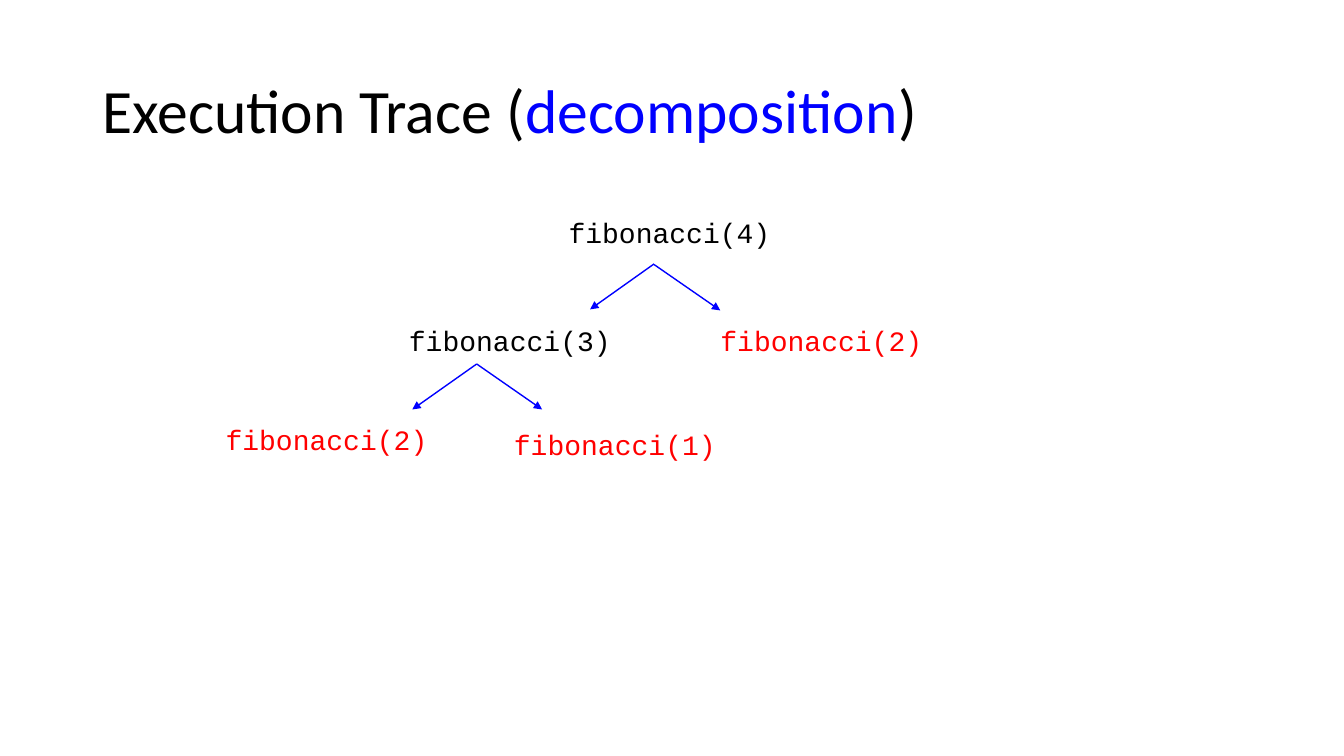
import pptx
import pptx.util
import pptx.dml.color
import pptx.enum.shapes
import pptx.enum.text
import pptx.oxml.ns
import lxml.etree
from dataclasses import dataclass

Pt = pptx.util.Pt
RGB = pptx.dml.color.RGBColor


@dataclass(frozen=True)
class Theme:
    black: RGB = RGB(0, 0, 0)
    blue: RGB = RGB(0, 0, 255)
    red: RGB = RGB(255, 0, 0)
    title_font: str = "Calibri"
    code_font: str = "Courier New"
    title_size: int = 44
    code_size: int = 20


theme = Theme()

presentation = pptx.Presentation()
presentation.slide_width = Pt(960)
presentation.slide_height = Pt(540)
slide = presentation.slides.add_slide(presentation.slide_layouts[5])

# Title with the highlighted word
title = slide.shapes.title
title.left, title.top, title.width, title.height = Pt(66), Pt(28.75), Pt(828), Pt(104.4)
title.text_frame.vertical_anchor = pptx.enum.text.MSO_ANCHOR.MIDDLE
title.text_frame.auto_size = pptx.enum.text.MSO_AUTO_SIZE.NONE
paragraph = title.text_frame.paragraphs[0]
paragraph.alignment = pptx.enum.text.PP_ALIGN.LEFT
paragraph.line_spacing = 0.9
paragraph.font.name = theme.title_font
paragraph.font.size = Pt(theme.title_size)
for text, color in [("Execution Trace (", theme.black),
                    ("decomposition", theme.blue),
                    (")", theme.black)]:
    run = paragraph.add_run()
    run.text = text
    run.font.color.rgb = color

# Calls: argument, left, top, colour (red marks base cases)
calls = [
    (4, 399, 150.5, theme.black),
    (3, 285, 227.5, theme.black),
    (2, 507.5, 227.5, theme.red),
    (1, 360, 302, theme.red),
    (2, 154, 298.5, theme.red),
]
for argument, left, top, color in calls:
    call = slide.shapes.add_textbox(Pt(left), Pt(top), Pt(159), Pt(31))
    call.text_frame.word_wrap = False
    call.text_frame.auto_size = pptx.enum.text.MSO_AUTO_SIZE.SHAPE_TO_FIT_TEXT
    paragraph = call.text_frame.paragraphs[0]
    paragraph.text = f"fibonacci({argument})"
    paragraph.font.name = theme.code_font
    paragraph.font.size = Pt(theme.code_size)
    paragraph.font.color.rgb = color

# Arrows from each call to the calls it makes
arrows = [
    (467.25, 188.5, 421.5, 221),
    (467.25, 189, 514.5, 221.75),
    (340.5, 260, 294.5, 292.5),
    (340.5, 260, 387.25, 292.5),
]
for ends in arrows:
    arrow = slide.shapes.add_connector(
        pptx.enum.shapes.MSO_CONNECTOR.STRAIGHT, *map(Pt, ends))
    arrow.line.color.rgb = theme.blue
    arrow.line.width = Pt(1)
    lxml.etree.SubElement(arrow.line._get_or_add_ln(),
                          pptx.oxml.ns.qn("a:tailEnd"), type="triangle")
    lxml.etree.SubElement(arrow._element.spPr, pptx.oxml.ns.qn("a:effectLst"))

presentation.save("out.pptx")
